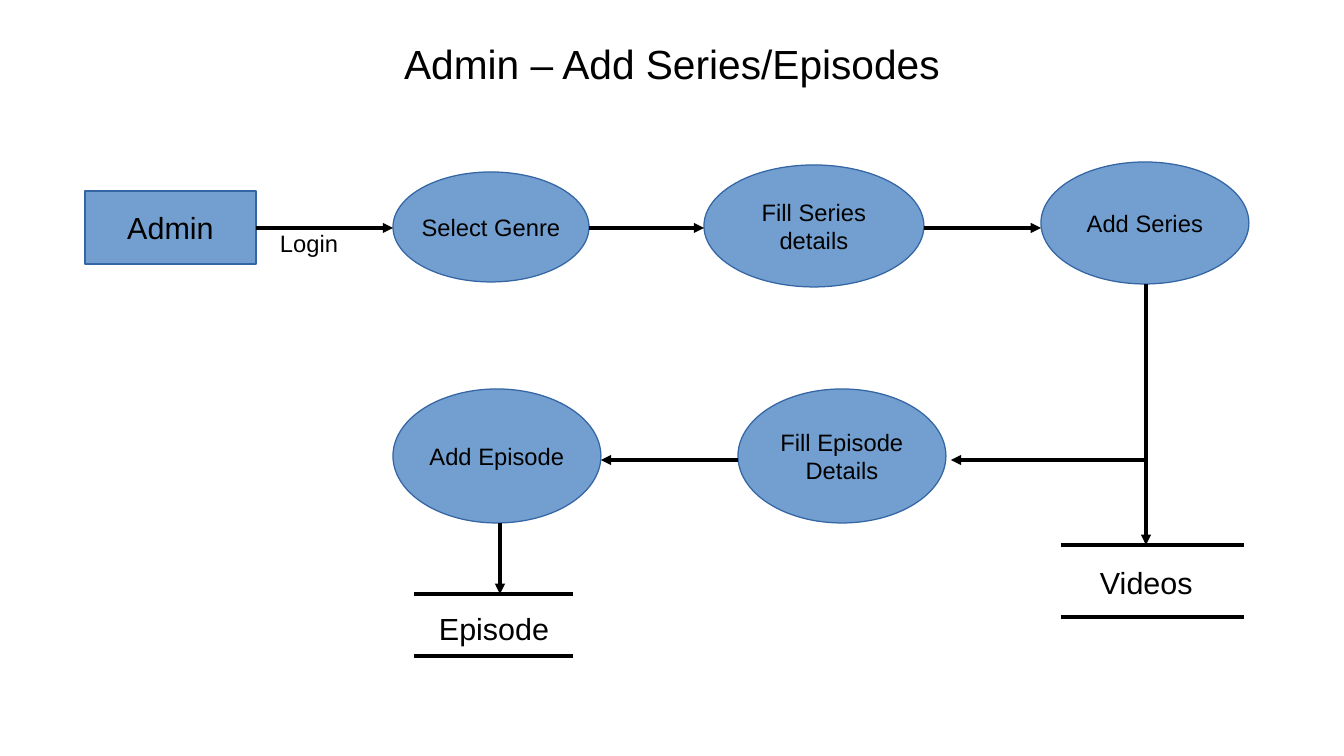
from pptx import Presentation
from pptx.dml.color import RGBColor
from pptx.enum.shapes import MSO_CONNECTOR, MSO_SHAPE
from pptx.enum.text import MSO_ANCHOR, PP_ALIGN
from pptx.oxml.ns import qn
from pptx.util import Inches, Pt
from lxml.etree import SubElement

SCALE = Inches(1) / 122
SLIDE_SIZE = (1344, 756)
FONT, INK, FILL, OUTLINE = "Arial", "000000", "729FCF", "3465A4"

# Boxes are left, top, width, height
TITLE = ("Admin – Add Series/Episodes", (67, 30, 1210, 67))
ACTOR = ("Admin", (85, 191, 171, 73))
PROCESSES = [
    (["Select Genre"], (393, 172, 196, 110)),
    (["Fill Series", "details"], (704, 165, 220, 122)),
    (["Add Series"], (1041, 162, 208, 122)),
    (["Fill Episode", "Details"], (738, 389, 208, 134)),
    (["Add Episode"], (393, 389, 208, 134)),
]
# Data stores: name, left and right end, top and bottom rule, label box
STORES = [
    ("Videos", (1061, 1244), (545, 617), (1088, 558, 171, 46)),
    ("Episode", (414, 573), (594, 656), (427, 604, 146, 46)),
]
LOGIN = ("Login", (268, 223, 110, 39))
SERIES_Y, EPISODE_Y = 228, 460
VIDEOS_X, EPISODE_X = 1146, 500
FLOWS = [
    ((256, SERIES_Y), (393, SERIES_Y)),
    ((589, SERIES_Y), (704, SERIES_Y)),
    ((924, SERIES_Y), (1041, SERIES_Y)),
    ((VIDEOS_X, 284), (VIDEOS_X, 545)),
    ((VIDEOS_X, EPISODE_Y), (951, EPISODE_Y)),
    ((738, EPISODE_Y), (601, EPISODE_Y)),
    ((EPISODE_X, 523), (EPISODE_X, 594)),
]


def emu(pixels):
    """Turn pixels into EMU."""
    return round(pixels * SCALE)


def color(value):
    """Turn a hex string into a colour."""
    return RGBColor.from_string(value)


def write(frame, lines, size, align, anchor, wrap):
    """Put each line in its own paragraph of a text frame."""
    frame.word_wrap = wrap
    frame.vertical_anchor = anchor
    for index, line in enumerate(lines):
        paragraph = frame.paragraphs[0] if index == 0 else frame.add_paragraph()
        paragraph.alignment = align
        run = paragraph.add_run()
        run.text = line
        run.font.size = Pt(size)
        run.font.name = FONT
        run.font.color.rgb = color(INK)


def add_node(kind, lines, box, size):
    """Add a filled, outlined step with centred text."""
    node = slide.shapes.add_shape(kind, *map(emu, box))
    node.shadow.inherit = False
    node.fill.solid()
    node.fill.fore_color.rgb = color(FILL)
    node.line.color.rgb = color(OUTLINE)
    node.line.width = Pt(0)
    write(node.text_frame, lines, size, PP_ALIGN.CENTER, MSO_ANCHOR.MIDDLE, False)


def add_label(text, box, size, align=PP_ALIGN.LEFT, anchor=MSO_ANCHOR.TOP):
    """Add a text box and return its frame."""
    frame = slide.shapes.add_textbox(*map(emu, box)).text_frame
    write(frame, [text], size, align, anchor, True)
    return frame


def add_line(start, end, arrow=False):
    """Add a hairline, with an arrowhead at its end if asked."""
    line = slide.shapes.add_connector(MSO_CONNECTOR.STRAIGHT, *map(emu, start + end))
    line.line.color.rgb = color(INK)
    line.line.width = Pt(0)
    properties = line._element.spPr
    if arrow:
        SubElement(properties.find(qn("a:ln")), qn("a:tailEnd"), type="triangle")
    SubElement(properties, qn("a:effectLst"))


deck = Presentation()
deck.slide_width, deck.slide_height = map(emu, SLIDE_SIZE)
slide = deck.slides.add_slide(deck.slide_layouts[6])

title = add_label(*TITLE, 24, PP_ALIGN.CENTER, MSO_ANCHOR.MIDDLE)
title.margin_left = title.margin_right = title.margin_top = title.margin_bottom = 0

actor, actor_box = ACTOR
add_node(MSO_SHAPE.RECTANGLE, [actor], actor_box, 18)
for process, process_box in PROCESSES:
    add_node(MSO_SHAPE.OVAL, process, process_box, 14)
for store, (left, right), rules, store_box in STORES:
    for y in rules:
        add_line((left, y), (right, y))
    add_label(store, store_box, 18)
for start, end in FLOWS:
    add_line(start, end, arrow=True)
add_label(*LOGIN, 14)

deck.save("out.pptx")
